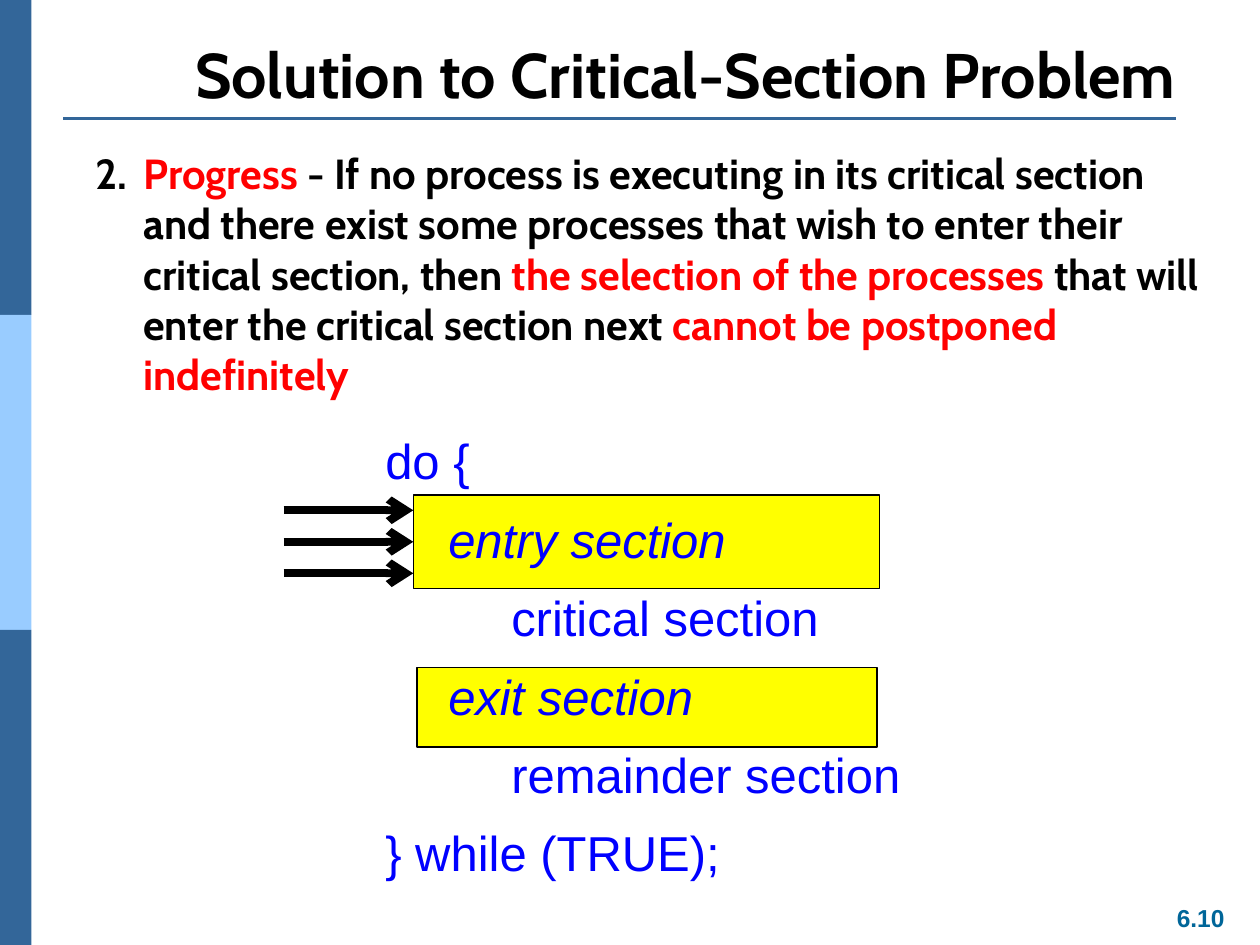
import pptx
import pptx.util
import pptx.dml.color
import pptx.enum.shapes
import pptx.enum.text
import pptx.oxml.ns
import lxml.etree

Inches = pptx.util.Inches
Pt = pptx.util.Pt

COLORS = {
    "black": "000000", "red": "FF0000", "code": "0000FF", "box": "FFFF00",
    "dark": "336699", "light": "99CCFF", "number": "006699",
}

TITLE = "Solution to Critical-Section Problem"
PAGE_NUMBER = "6.10"
PROGRESS = [
    ("2.\t", "black"),
    ("Progress ", "red"),
    ("- If no process is executing in its critical section and there exist some "
     "processes that wish to enter their critical section, then ", "black"),
    ("the selection of the processes ", "red"),
    ("that will enter the critical section next ", "black"),
    ("cannot be postponed indefinitely", "red"),
]
CODE = [
    (1, "do {", False),
    (2, "entry section", True),
    (3, "critical section", False),
    (2, "exit section", True),
    (3, "remainder section", False),
    (1, "} while (TRUE);", False),
]
SIDEBAR = ["dark", "light", "dark"]
EXIT_BOX = (3.31, 5.3, 3.65, 0.63)
ENTRY_BOX = (3.28, 3.93, 3.7, 0.74)
ARROW_START, ARROW_GAP = 2.25, 0.25
HANGING = 0.38


def rgb(name):
    return pptx.dml.color.RGBColor.from_string(COLORS[name])


def add_rectangle(slide, place, fill, outline=None):
    box = slide.shapes.add_shape(
        pptx.enum.shapes.MSO_SHAPE.RECTANGLE, *map(Inches, place))
    box.shadow.inherit = False
    box.fill.solid()
    box.fill.fore_color.rgb = rgb(fill)
    if outline:
        box.line.color.rgb = rgb(outline)
        box.line.width = Pt(0.75)
    else:
        box.line.fill.background()
    return box


def add_line(slide, ends, color, width, arrow=False):
    line = slide.shapes.add_connector(
        pptx.enum.shapes.MSO_CONNECTOR.STRAIGHT, *map(Inches, ends))
    line.line.color.rgb = rgb(color)
    line.line.width = Pt(width)
    if arrow:
        lxml.etree.SubElement(
            line.line._get_or_add_ln(), pptx.oxml.ns.qn("a:tailEnd"), type="arrow")
    lxml.etree.SubElement(line._element.spPr, pptx.oxml.ns.qn("a:effectLst"))
    return line


def add_text(slide, place, wrap=True):
    box = slide.shapes.add_textbox(*map(Inches, place))
    box.text_frame.word_wrap = wrap
    return box.text_frame


def style(run, font, size, color, bold=False, italic=False):
    run.font.name = font
    run.font.size = Pt(size)
    run.font.color.rgb = rgb(color)
    run.font.bold = bold
    run.font.italic = italic


def hang(para):
    para._p.get_or_add_pPr().set("marL", str(Inches(HANGING)))
    para._p.get_or_add_pPr().set("indent", str(-Inches(HANGING)))


def add_centered(slide, place, text, font, size, color, wrap=True):
    frame = add_text(slide, place, wrap)
    frame.text = text
    para = frame.paragraphs[0]
    para.alignment = pptx.enum.text.PP_ALIGN.CENTER
    style(para.runs[0], font, size, color, bold=True)
    return frame


def add_progress(slide):
    para = add_text(slide, (0.66, 1.12, 9, 4.95)).paragraphs[0]
    hang(para)
    for text, color in PROGRESS:
        span = para.add_run()
        span.text = text
        style(span, "Cabin", 24, color, bold=True)


def add_code(slide):
    frame = add_text(slide, (2.58, 3.37, 7.3, 4.0))
    frame.text = "\n".join("\t" * depth + text for depth, text, _ in CODE)
    for index, (para, (_, _, italic)) in enumerate(zip(frame.paragraphs, CODE)):
        hang(para)
        if index:
            para.space_before = Pt(11.2)
        style(para.runs[0], "Arial", 28, "code", italic=italic)


def add_arrows(slide, entry):
    left, top, _, height = ENTRY_BOX
    for step in (-1, 0, 1):
        y = top + height / 2 + step * ARROW_GAP
        arrow = add_line(slide, (ARROW_START, y, left, y), "black", 4.5, arrow=True)
        if step == 0:
            arrow.end_connect(entry, 1)


def main():
    deck = pptx.Presentation()
    deck.slide_width, deck.slide_height = Inches(10), Inches(7.5)
    slide = deck.slides.add_slide(deck.slide_layouts[6])
    for index, color in enumerate(SIDEBAR):
        add_rectangle(slide, (0, 2.5 * index, 0.25, 2.5), color)
    add_line(slide, (0.5, 0.94, 9.33, 0.94), "dark", 1.5)
    add_centered(slide, (9.23, 7.12, 0.6, 0.34), PAGE_NUMBER, "Arial", 14,
                 "number", wrap=False)
    title = add_centered(slide, (0.94, 0.3, 9, 0.63), TITLE, "Cabin", 36, "black")
    title.vertical_anchor = pptx.enum.text.MSO_ANCHOR.BOTTOM
    add_progress(slide)
    add_rectangle(slide, EXIT_BOX, "box", "black")
    entry = add_rectangle(slide, ENTRY_BOX, "box", "black")
    add_code(slide)
    add_arrows(slide, entry)
    deck.save("out.pptx")


if __name__ == "__main__":
    main()
